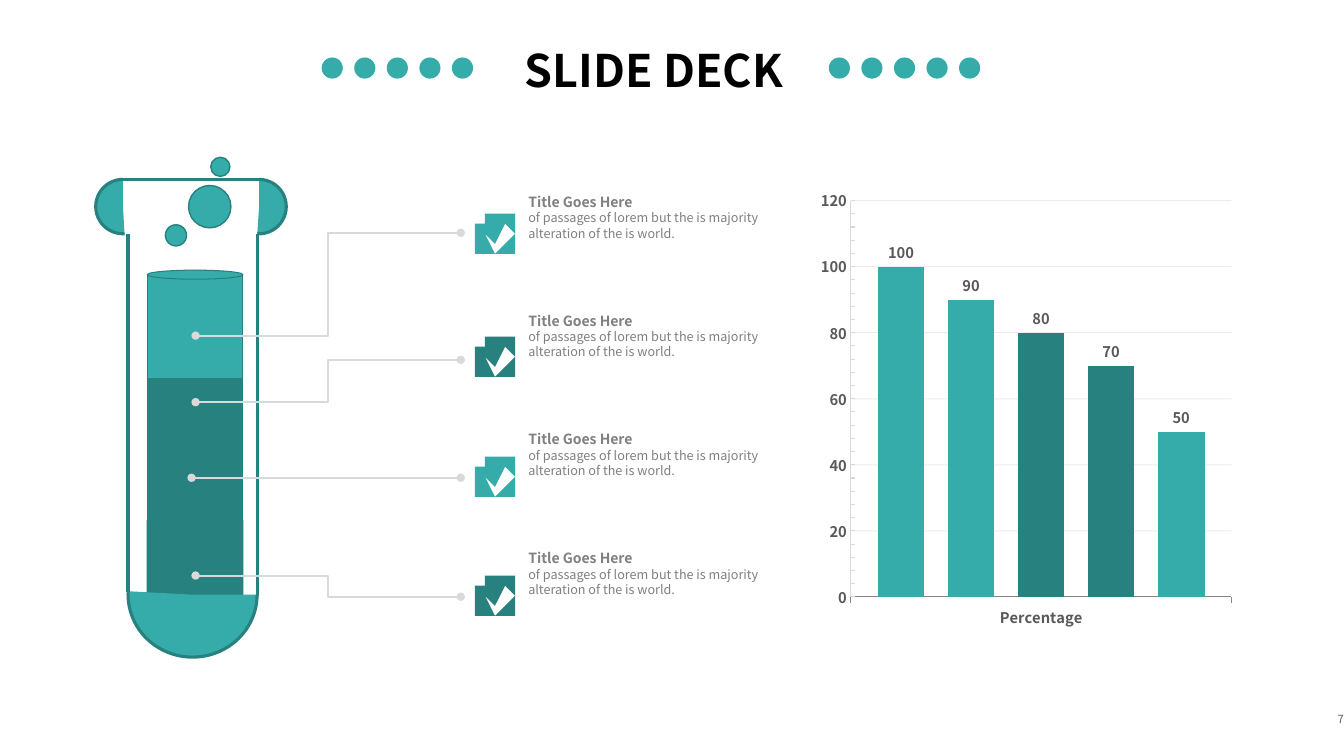
import math

import pptx
import pptx.chart.data
import pptx.dml.color
import pptx.enum.chart
import pptx.enum.shapes
import pptx.enum.text
import pptx.oxml
import pptx.util
from lxml import etree

FONT = "Noto Sans CJK JP"
TEAL, DARK, PALE, GREY = "35ACA9", "27817E", "D9D9D9", "808080"
KINDS = pptx.enum.shapes.MSO_SHAPE
LINKS = pptx.enum.shapes.MSO_CONNECTOR
DRAWING = "http://schemas.openxmlformats.org/drawingml/2006/main"

deck = pptx.Presentation()
deck.slide_width = pptx.util.Inches(13.33)
deck.slide_height = pptx.util.Inches(7.5)
CELL = deck.slide_height / 75  # square grid of 75 rows
page = deck.slides.add_slide(deck.slide_layouts[5])
shapes = page.shapes


def color(text):
    return pptx.dml.color.RGBColor.from_string(text)


def paint(item, fill=None, line=None, width=0.75):
    """Set fill and outline, and take the theme shadow away."""
    if fill:
        item.shadow.inherit = False
        item.fill.solid()
        item.fill.fore_color.rgb = color(fill)
    else:
        etree.SubElement(item.line._get_or_add_ln().getparent(), f"{{{DRAWING}}}effectLst")
    if line:
        item.line.color.rgb = color(line)
        item.line.width = pptx.util.Pt(width)
    else:
        item.line.fill.background()


# Title between two rows of dots
title = shapes.title
title.left, title.top, title.width, title.height = [int(n * CELL) for n in (48.5, 3.7, 32.7, 6.4)]
frame = title.text_frame
frame.auto_size = pptx.enum.text.MSO_AUTO_SIZE.NONE
frame.word_wrap = False
frame.vertical_anchor = pptx.enum.text.MSO_ANCHOR.MIDDLE
frame.text = "SLIDE DECK"
para = frame.paragraphs[0]
para.alignment = pptx.enum.text.PP_ALIGN.CENTER
para.font.name, para.font.size, para.font.bold = FONT, pptx.util.Pt(32), True
para.font.color.rgb = color("000000")

for row_left in (31.9, 82.2):
    for number in range(5):
        left = row_left + 3.23 * number
        dot = shapes.add_shape(KINDS.OVAL, *[int(n * CELL) for n in (left, 5.7, 2.1, 2.1)])
        paint(dot, TEAL)

# Test tube, from back to front: kind, grid place, fill, line width, settings
tube_parts = [
    (KINDS.ROUND_2_SAME_RECTANGLE, (14.6, 51.6, 9.5, 11.6), DARK, 0.75, 180, (0.41, 0)),
    (KINDS.RECTANGLE, (14.6, 42.4, 9.5, 9.5), DARK, 0.75, 0, ()),
    (KINDS.RECTANGLE, (14.6, 37.6, 9.5, 4.8), DARK, 0.75, 0, ()),
    (KINDS.RECTANGLE, (14.6, 27.3, 9.5, 10.3), TEAL, 0.75, 0, ()),
    (KINDS.OVAL, (14.6, 26.8, 9.5, 0.9), TEAL, 0.75, 0, ()),
    (KINDS.ARC, (12.9, 52.6, 12.4, 12.8), TEAL, 2.25, 90, (162, 55.82)),
    (KINDS.ARC, (23, 17.8, 5.4, 5.4), TEAL, 2.25, 0, (162, 56.2)),
    (KINDS.ARC, (9.5, 17.8, 5.4, 5.4), TEAL, 2.25, 0, (52, 162)),
    (KINDS.OVAL, (18.7, 18.4, 4.2, 4.2), TEAL, 1, 0, ()),
    (KINDS.OVAL, (16.4, 22.3, 2.1, 2.1), TEAL, 1, 0, ()),
    (KINDS.OVAL, (20.9, 15.6, 1.9, 1.9), TEAL, 1, 0, ()),
]
for kind, place, fill, width, turn, settings in tube_parts:
    part = shapes.add_shape(kind, *[int(n * CELL) for n in place])
    part.rotation = turn
    for index, setting in enumerate(settings):
        part.adjustments[index] = setting
    paint(part, fill, DARK, width)

# Glass walls and rim, then the pointers
lines = [
    (LINKS.STRAIGHT, (12.7, 58.7, 12.7, 23.2), DARK, 2.25),
    (LINKS.STRAIGHT, (25.5, 59.1, 25.5, 23.2), DARK, 2.25),
    (LINKS.STRAIGHT, (25.7, 17.8, 12.2, 17.8), DARK, 2.25),
    (LINKS.ELBOW, (19.4, 33.3, 45.7, 23.1), PALE, 1.5),
    (LINKS.ELBOW, (19.4, 39.9, 45.7, 35.7), PALE, 1.5),
    (LINKS.STRAIGHT, (19, 47.4, 45.7, 47.4), PALE, 1.5),
    (LINKS.ELBOW, (19.4, 57.1, 45.7, 59.2), PALE, 1.5),
]
for kind, ends, line, width in lines:
    link = shapes.add_connector(kind, *[int(n * CELL) for n in ends])
    paint(link, line=line, width=width)
    if line == PALE:
        for end in ("headEnd", "tailEnd"):
            etree.SubElement(link.line._get_or_add_ln(), f"{{{DRAWING}}}{end}", type="oval")

# Check badges (a disc with the tick cut out) and their texts
circle = [(2.25 + 2.25 * math.cos(math.radians(a)), 2.25 + 2.25 * math.sin(math.radians(a)))
          for a in range(0, 360, 6)]
tick = [(3.75, 1.6), (3.4, 1.3), (3.15, 1.35), (1.95, 2.55), (1.3, 1.9), (1.1, 1.85),
        (0.75, 2.15), (0.75, 2.4), (1.85, 3.5), (2.1, 3.5), (3.75, 1.9), (3.8, 1.75)]
for number, badge_top in enumerate((21.2, 33.4, 45.3, 57.1)):
    outline = shapes.build_freeform(*circle[0], scale=CELL)
    outline.add_line_segments(circle[1:])
    outline.move_to(*tick[0])
    outline.add_line_segments(tick[1:])
    badge = outline.convert_to_shape(int(47.1 * CELL), int(badge_top * CELL))
    paint(badge, (TEAL, DARK)[number % 2])

    place = (52.4, 19.2 + 11.78 * number, 25.2, 4.7)
    box = shapes.add_textbox(*[int(n * CELL) for n in place])
    frame = box.text_frame
    frame.word_wrap = True
    frame.margin_left = frame.margin_top = frame.margin_right = frame.margin_bottom = 0
    frame.text = ("Title Goes Here\n"
                  "of passages of lorem but the is majority alteration of the is world.")
    for para, size, bold in zip(frame.paragraphs, (10, 9), (True, False)):
        para.font.name, para.font.size, para.font.bold = FONT, pptx.util.Pt(size), bold
        para.font.color.rgb = color(GREY)

# Column chart
columns = [(100, TEAL), (90, TEAL), (80, DARK), (70, DARK), (50, TEAL)]
data = pptx.chart.data.CategoryChartData()
data.categories = ["Percentage"]
for number, (value, fill) in enumerate(columns, 1):
    data.add_series(f"Series {number}", [value])
chart = shapes.add_chart(pptx.enum.chart.XL_CHART_TYPE.COLUMN_CLUSTERED,
                         *[int(n * CELL) for n in (80.1, 18.1, 42.9, 45.2)], data).chart
chart.has_legend = chart.has_title = False
chart.font.name, chart.font.size, chart.font.bold = FONT, pptx.util.Pt(10.5), True
chart.font.color.rgb = color("595959")
plot = chart.plots[0]
plot.gap_width, plot.overlap, plot.vary_by_categories = 115, -50, False
plot.has_data_labels = True
plot.data_labels.show_value = True
plot.data_labels.position = pptx.enum.chart.XL_LABEL_POSITION.OUTSIDE_END
for series, (value, fill) in zip(plot.series, columns):
    series.format.fill.solid()
    series.format.fill.fore_color.rgb = color(fill)

marks = pptx.enum.chart.XL_TICK_MARK
values, names = chart.value_axis, chart.category_axis
values.minimum_scale, values.maximum_scale = 0, 120
values.major_unit, values.minor_unit = 20, 4
values.major_tick_mark, values.minor_tick_mark = marks.NONE, marks.INSIDE
names.major_tick_mark = marks.OUTSIDE
for line, shade in ((values.format.line, PALE), (names.format.line, "868686"),
                    (values.major_gridlines.format.line, PALE)):
    line.color.rgb = color(shade)
    line.width = pptx.util.Pt(0.75)
grid_shade = values.major_gridlines.format.line._get_or_add_ln().find(f".//{{{DRAWING}}}srgbClr")
etree.SubElement(grid_shade, f"{{{DRAWING}}}alpha", val="48000")

area = chart._chartSpace.chart.plotArea
for old in area.xpath("c:layout"):
    area.remove(old)
area.insert(0, pptx.oxml.parse_xml(
    '<c:layout xmlns:c="http://schemas.openxmlformats.org/drawingml/2006/chart"><c:manualLayout>'
    '<c:layoutTarget val="inner"/><c:xMode val="edge"/><c:yMode val="edge"/>'
    '<c:x val="0.1"/><c:y val="0.04"/><c:w val="0.88"/><c:h val="0.87"/>'
    '</c:manualLayout></c:layout>'))

# Page number
box = shapes.add_textbox(*[int(n * CELL) for n in (126.6, 69.3, 6.7, 4)])
frame = box.text_frame
frame.vertical_anchor = pptx.enum.text.MSO_ANCHOR.MIDDLE
frame.margin_right = 0
frame.text = "7"
para = frame.paragraphs[0]
para.alignment = pptx.enum.text.PP_ALIGN.RIGHT
para.font.name, para.font.size = FONT, pptx.util.Pt(8)
para.font.color.rgb = color("5C5C5C")

deck.save("out.pptx")
